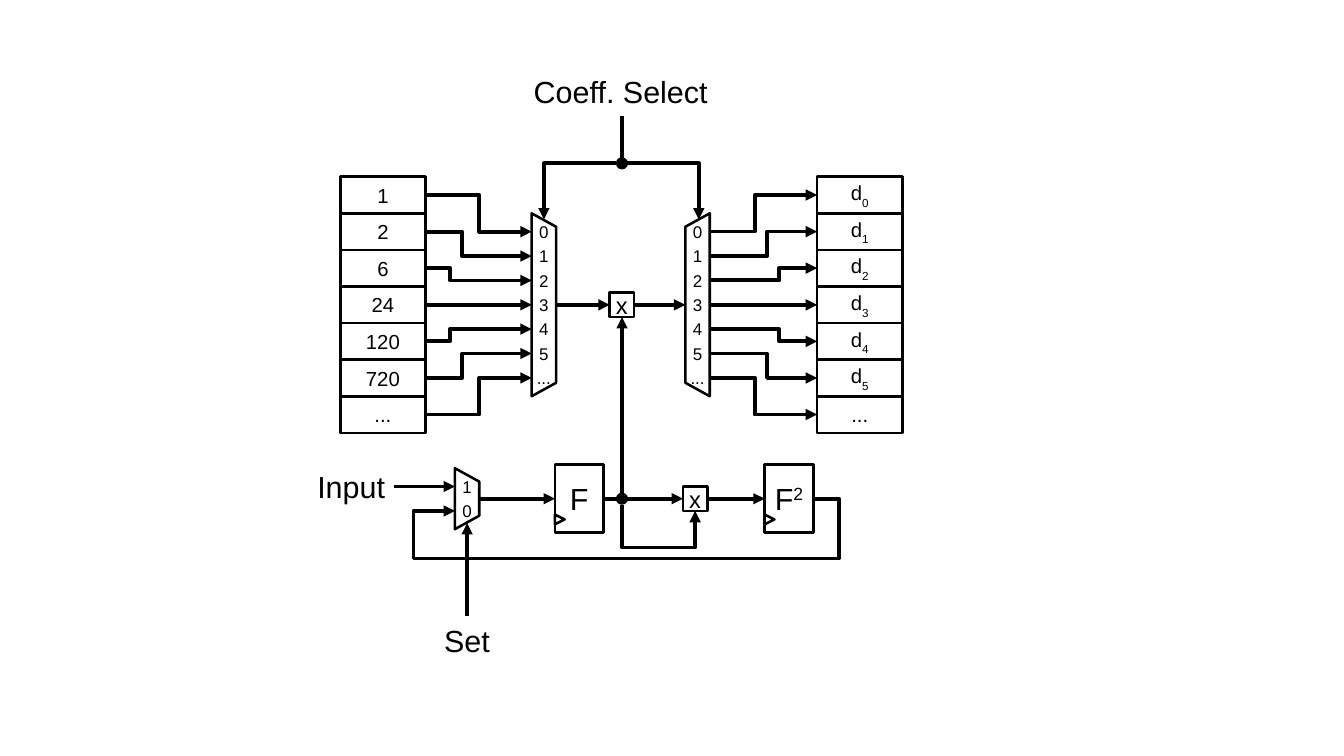
from lxml import etree
from pptx import Presentation
from pptx.dml.color import RGBColor
from pptx.enum.shapes import MSO_CONNECTOR, MSO_SHAPE
from pptx.enum.text import MSO_ANCHOR, PP_ALIGN
from pptx.oxml.ns import qn
from pptx.util import Pt

PX = 9144  # 100 px to the inch
INK, PAPER = "000000", "FFFFFF"
RECT, OVAL, WEDGE = MSO_SHAPE.RECTANGLE, MSO_SHAPE.OVAL, MSO_SHAPE.ISOSCELES_TRIANGLE
STRAIGHT, ELBOW = MSO_CONNECTOR.STRAIGHT, MSO_CONNECTOR.ELBOW
CENTER, MIDDLE = PP_ALIGN.CENTER, MSO_ANCHOR.MIDDLE

FACTORS = ["1", "2", "6", "24", "120", "720", "..."]
PORTS = ["0", "1", "2", "3", "4", "5", "..."]
BENDS_IN = {1: 369, 2: 379, 3: 393}
BENDS_OUT = {1: 639, 2: 629, 3: 619}


def emu(*lengths):
    return [n * PX for n in lengths]


def hue(code):
    return RGBColor.from_string(code)


def write(shape, text, size, script="", shift=0):
    """Centre text in a shape; script is a raised or lowered ending."""
    frame = shape.text_frame
    frame.word_wrap = False
    frame.vertical_anchor = MIDDLE
    para = frame.paragraphs[0]
    para.text = text
    para.alignment = CENTER
    if script:
        run = para.add_run()
        run.text = script
        run._r.get_or_add_rPr().set("baseline", str(shift * 1000))
    for run in para.runs:
        run.font.name = "Arial"
        run.font.size = Pt(size)
        run.font.color.rgb = hue(INK)


def style(shape, fill=None, line=None):
    shape.shadow.inherit = False
    if fill:
        shape.fill.solid()
        shape.fill.fore_color.rgb = hue(fill)
    else:
        shape.fill.background()
    if line:
        shape.line.color.rgb = hue(INK)
        shape.line.width = Pt(line)
    else:
        shape.line.fill.background()


def block(slide, x, y, w, h, text, size, script="", shift=0):
    box = slide.shapes.add_shape(RECT, *emu(x, y, w, h))
    style(box, line=1.5)
    write(box, text, size, script, shift)


def register(slide, x, script=""):
    """A clocked register F."""
    block(slide, x, 381, 40, 56, "F", 18, script, 33)
    clock = slide.shapes.add_shape(WEDGE, *emu(x, 422, 8, 8))
    clock.rotation = 90
    style(clock, line=1.5)


def times(slide, x, y):
    block(slide, x, y, 20, 20, "x", 14)


def dot(slide, x, y):
    node = slide.shapes.add_shape(OVAL, *emu(x - 5, y - 5, 10, 10))
    style(node, fill=INK)


def title(slide, x, y, w, text):
    """A label on one line, as wide as its box."""
    box = slide.shapes.add_textbox(*emu(x, y, w, 40))
    box.text_frame.margin_left = box.text_frame.margin_right = 0
    write(box, text, 18)


def trace(slide, points, close):
    pen = slide.shapes.build_freeform(*points[0], scale=float(PX))
    pen.add_line_segments(points[1:], close=close)
    return pen.convert_to_shape()


def mux(slide, x, y, names, wide, slim):
    """Ports 20 px apart between the wide edge and the slim edge."""
    for i, name in enumerate(names):
        port = slide.shapes.add_shape(RECT, *emu(x, y + 20 * i, 20, 20))
        style(port, fill=PAPER)
        write(port, name, 10)
    top, foot = y - 5, y + 20 * len(names) + 5
    edge = [(wide, foot), (wide, top), (slim, top + 11), (slim, foot - 11)]
    style(trace(slide, edge, True), line=1.5)


def arrow(shape):
    """Add a triangle at the end of a line."""
    shape.line.color.rgb = hue(INK)
    shape.line.width = Pt(2.25)
    line = shape.line._get_or_add_ln()
    etree.SubElement(line, qn("a:tailEnd"), type="triangle")


def wire(slide, x1, y1, x2, y2, bend=None):
    """Arrow between two points, with a vertical step at x = bend."""
    kind = ELBOW if bend else STRAIGHT
    link = slide.shapes.add_connector(kind, *emu(x1, y1, x2, y2))
    arrow(link)
    props = link._element.spPr
    etree.SubElement(props, qn("a:effectLst"))
    if bend:
        geom = props.find(qn("a:prstGeom"))
        guides = geom.find(qn("a:avLst"))
        if guides is None:
            guides = etree.SubElement(geom, qn("a:avLst"))
        ratio = round((bend - x1) / (x2 - x1) * 100000)
        etree.SubElement(guides, qn("a:gd"), name="adj1", fmla=f"val {ratio}")


def route(slide, *points):
    """Arrow through several corners."""
    line = trace(slide, points, False)
    style(line)
    arrow(line)


def table(slide):
    """Factors on the left and results on the right, wired to the muxes."""
    for i, factor in enumerate(FACTORS):
        top, row, port = 145 + 30 * i, 160 + 30 * i, 190 + 20 * i
        block(slide, 279, top, 70, 30, factor, 12)
        if PORTS[i] == "...":
            block(slide, 670, top, 70, 30, "...", 12)
        else:
            block(slide, 670, top, 70, 30, "d", 12, PORTS[i], -33)
        step = abs(i - 3)
        wire(slide, 349, row, 436, port, BENDS_IN.get(step))
        wire(slide, 582, port, 670, row, BENDS_OUT.get(step))


def upper(slide):
    mux(slide, 436, 180, PORTS, 436, 456)
    mux(slide, 562, 180, PORTS, 582, 562)
    table(slide)
    times(slide, 500, 240)
    wire(slide, 456, 250, 500, 250)
    wire(slide, 520, 250, 562, 250)
    title(slide, 429, 55, 160, "Coeff. Select")
    route(slide, (510, 95), (510, 134), (573, 134), (573, 180))
    route(slide, (505, 134), (446, 134), (446, 180))
    dot(slide, 510, 134)


def lower(slide):
    mux(slide, 373, 389, ["1", "0"], 373, 393)
    register(slide, 455)
    times(slide, 560, 399)
    register(slide, 627, "2")
    title(slide, 253, 379, 70, "Input")
    title(slide, 358, 505, 50, "Set")
    wire(slide, 323, 399, 373, 399)
    wire(slide, 383, 505, 383, 429)
    for start, end in [(393, 455), (495, 560), (580, 627)]:
        wire(slide, start, 409, end, 409)
    wire(slide, 510, 404, 510, 260)
    route(slide, (510, 414), (510, 449), (570, 449), (570, 419))
    route(slide, (667, 409), (688, 409), (688, 458),
          (339, 458), (339, 419), (373, 419))
    dot(slide, 510, 409)


def main():
    deck = Presentation()
    deck.slide_width, deck.slide_height = emu(1102, 620)
    slide = deck.slides.add_slide(deck.slide_layouts[6])
    upper(slide)
    lower(slide)
    deck.save("out.pptx")


if __name__ == "__main__":
    main()
